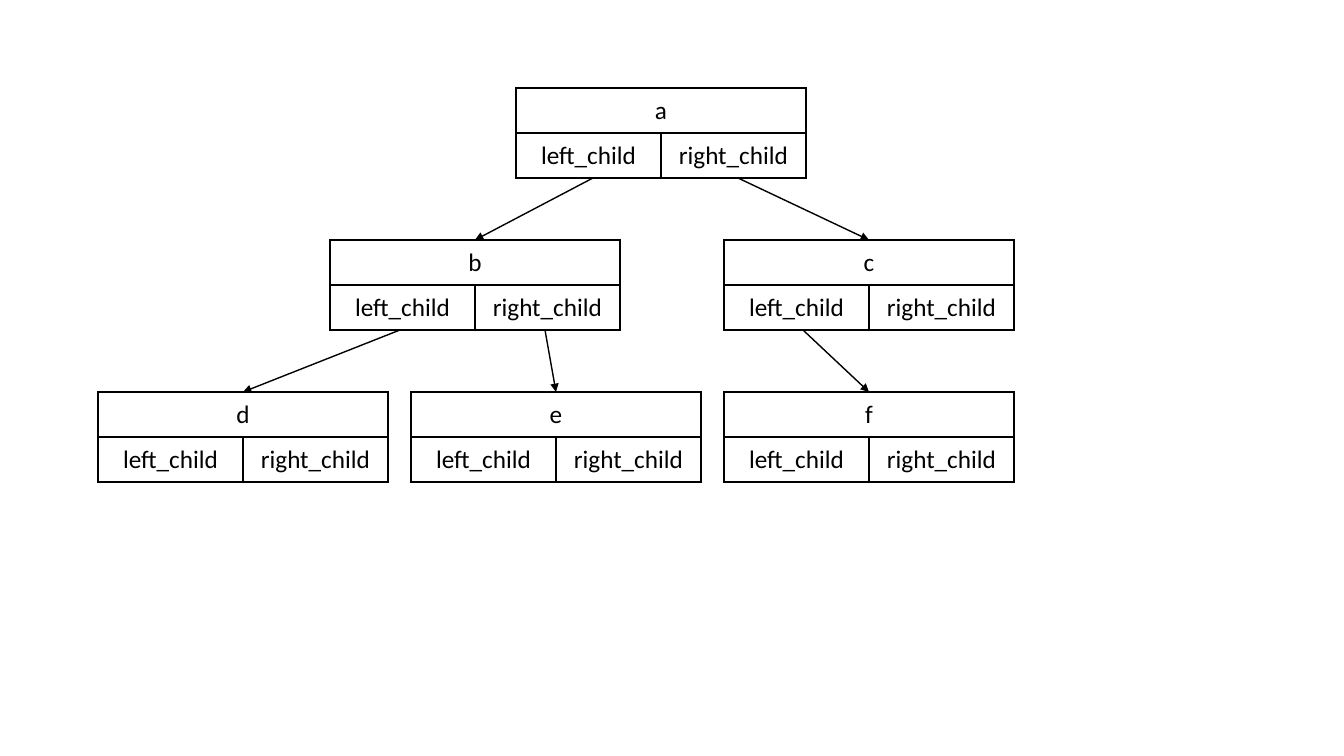
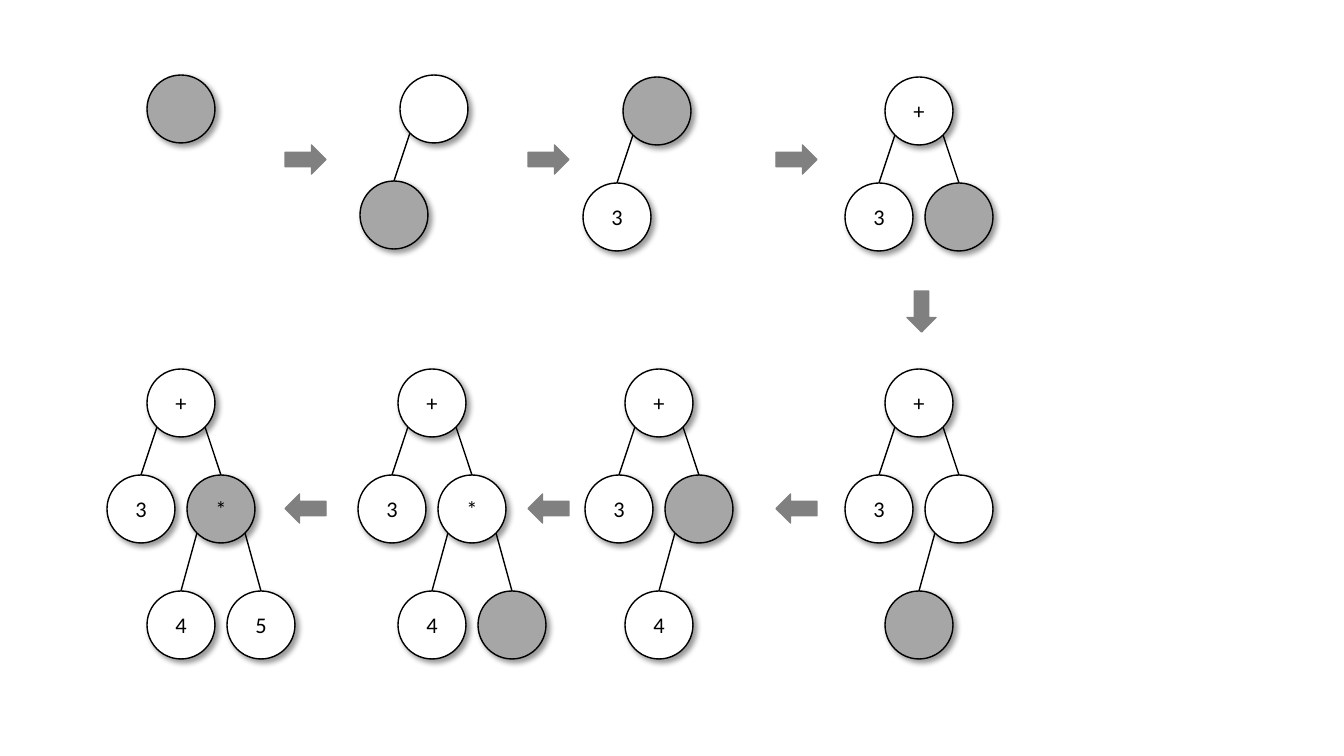
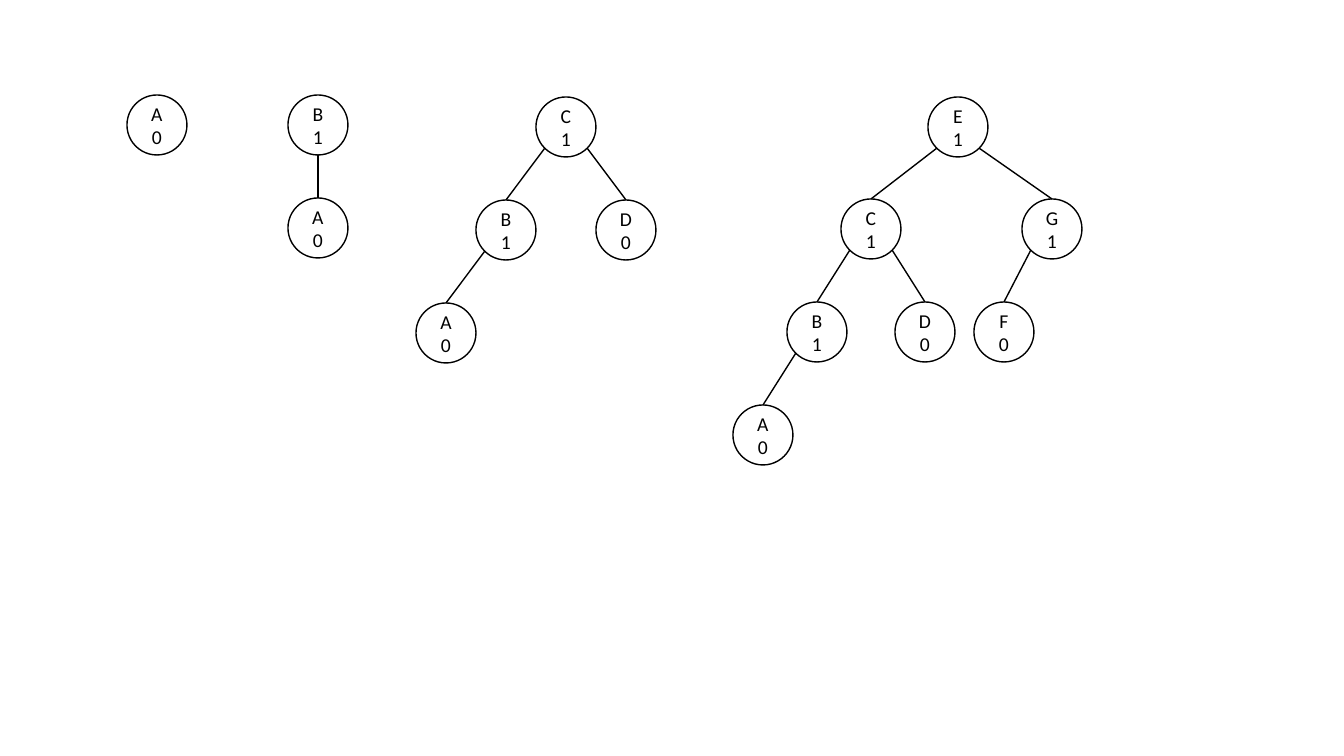
from dataclasses import dataclass
from math import sqrt

from lxml.etree import SubElement
from pptx import Presentation
from pptx.dml.color import RGBColor
from pptx.enum.shapes import MSO_CONNECTOR as Link, MSO_SHAPE as Preset
from pptx.enum.text import MSO_ANCHOR as Anchor, PP_ALIGN as Align
from pptx.oxml.ns import qn
from pptx.util import Pt

WIDTH, HEIGHT = 1344, 756
SCALE = 12192000 / WIDTH
COLORS = {"ink": "000000", "paper": "FFFFFF", "active": "A6A6A6", "arrow": "808080"}
FONT = "Calibri"
NO_MARGINS = {"margin_left": 0, "margin_right": 0, "margin_top": 0, "margin_bottom": 0}
TABLE_FORMAT = {"first_row": False, "horz_banding": False}

CELL_W, CELL_H = 145, 45
RECORD_PITCH = 152
RECORDS = {
    "a": (516, 0, 77),
    "b": (330, 0 + 1, 70),
    "c": (724, 1, 79),
    "d": (98, 2, 73),
    "e": (411, 2, 73),
    "f": (724, 2, 73),
}
CHILD_LINKS = [("a", 0, "b"), ("a", 1, "c"), ("b", 0, "d"), ("b", 1, "e"), ("c", 0, "f")]


@dataclass
class Node:
    label: str = ""
    dx: int = 0
    children: tuple = ()
    active: bool = False


@dataclass
class TreeStyle:
    diameter: int
    font_size: int
    shadow: bool = False


PARSE_STYLE = TreeStyle(68, 16, True)
HEAP_STYLE = TreeStyle(60, 14)
PARSE_PITCHES = (106, 116)
HEAP_PITCHES = (103, 103, 103)


def px(value):
    return round(value * SCALE)


def color(name):
    return RGBColor.from_string(COLORS[name])


def set_format(target, values):
    for name, value in values.items():
        setattr(target, name, value)


def style_text(frame, size):
    for paragraph in frame.paragraphs:
        paragraph.alignment = Align.CENTER
        set_format(paragraph.font, {"name": FONT, "size": Pt(size)})
        paragraph.font.color.rgb = color("ink")


def style_line(line, name="ink"):
    line.width = Pt(1)
    line.color.rgb = color(name)


def add_link(slide, start, end, arrowhead=False):
    link = slide.shapes.add_connector(Link.STRAIGHT, *map(px, (*start, *end)))
    style_line(link.line)
    SubElement(link._element.spPr, qn("a:effectLst"))
    if arrowhead:
        SubElement(link.line._get_or_add_ln(), qn("a:tailEnd"), type="triangle")
    return link


def add_preset(slide, preset, box, fill, line):
    shape = slide.shapes.add_shape(preset, *map(px, box))
    shape.shadow.inherit = False
    shape.fill.solid()
    shape.fill.fore_color.rgb = color(fill)
    style_line(shape.line, line)
    return shape


def border_cell(cell):
    properties = cell._tc.get_or_add_tcPr()
    for side in ("lnL", "lnR", "lnT", "lnB"):
        border = SubElement(properties, qn(f"a:{side}"), w=str(Pt(1)))
        fill = SubElement(border, qn("a:solidFill"))
        SubElement(fill, qn("a:srgbClr"), val=COLORS["ink"])


def add_record(slide, left, top, name):
    box = (left, top, 2 * CELL_W, 2 * CELL_H)
    record = slide.shapes.add_table(2, 2, *map(px, box)).table
    set_format(record, TABLE_FORMAT)
    for column in record.columns:
        column.width = px(CELL_W)
    for row in record.rows:
        row.height = px(CELL_H)
    record.cell(0, 0).merge(record.cell(0, 1))
    for cell, text in zip(record.iter_cells(), (name, "", "left_child", "right_child")):
        border_cell(cell)
        cell.fill.background()
        cell.vertical_anchor = Anchor.MIDDLE
        if text:
            cell.text = text
            style_text(cell.text_frame, 18)


def add_record_tree(slide, top):
    for name, (left, level, _) in RECORDS.items():
        add_record(slide, left, top + level * RECORD_PITCH, name)
    for parent, side, child in CHILD_LINKS:
        left, level, port = RECORDS[parent]
        child_left, child_level, _ = RECORDS[child]
        start = (left + port + side * CELL_W, top + level * RECORD_PITCH + 2 * CELL_H)
        end = (child_left + CELL_W, top + child_level * RECORD_PITCH)
        add_link(slide, start, end, arrowhead=True)


def add_shadow(shape):
    effects = shape._element.spPr.find(qn("a:effectLst"))
    shadow = SubElement(effects, qn("a:outerShdw"), blurRad=str(Pt(4)), dist=str(Pt(3)),
                        dir="2700000", algn="tl", rotWithShape="0")
    shade = SubElement(shadow, qn("a:srgbClr"), val=COLORS["ink"])
    SubElement(shade, qn("a:alpha"), val="40000")


def add_node(slide, left, top, node, style):
    box = (left, top, style.diameter, style.diameter)
    circle = add_preset(slide, Preset.OVAL, box, "active" if node.active else "paper", "ink")
    if style.shadow:
        add_shadow(circle)
    if node.label:
        frame = circle.text_frame
        set_format(frame, NO_MARGINS | {"vertical_anchor": Anchor.MIDDLE})
        frame.text = node.label
        style_text(frame, style.font_size)
    return circle


def add_tree(slide, left, top, node, style, pitches):
    circle = add_node(slide, left, top, node, style)
    radius = style.diameter / 2
    for child in node.children:
        child_left, child_top = left + child.dx, top + pitches[0]
        child_circle = add_tree(slide, child_left, child_top, child, style, pitches[1:])
        side = (child.dx > 0) - (child.dx < 0)
        reach = radius / sqrt(2) if side else radius
        start = (left + radius + side * reach, top + radius + reach)
        link = add_link(slide, start, (child_left + radius, child_top))
        link.end_connect(child_circle, 0)
    return circle


def left_node(label="", *children, active=False):
    return Node(label, -40, children, active)


def right_node(label="", *children, active=False):
    return Node(label, 40, children, active)


def add_parse_steps(slide, top):
    three, four = left_node("3"), left_node("4")
    blank_left, blank_right = left_node(active=True), right_node(active=True)
    steps = [
        (147, 0, Node(active=True)),
        (400, 0, Node(children=(blank_left,))),
        (623, 2, Node(children=(three,), active=True)),
        (885, 2, Node("+", children=(three, blank_right))),
        (885, 294, Node("+", children=(three, right_node("", blank_left)))),
        (625, 294, Node("+", children=(three, right_node("", four, active=True)))),
        (398, 294, Node("+", children=(three, right_node("*", four, blank_right)))),
        (147, 294, Node("+", children=(three, right_node("*", four, right_node("5"), active=True)))),
    ]
    for left, drop, root in steps:
        add_tree(slide, left, top + drop, root, PARSE_STYLE, PARSE_PITCHES)
    flow = [(left, drop, turn) for drop, turn in ((70, 0), (419, 180)) for left in (285, 528, 776)]
    for left, drop, turn in flow + [(901, 222, 90)]:
        arrow = add_preset(slide, Preset.RIGHT_ARROW, (left, top + drop, 41, 29), "arrow", "arrow")
        arrow.rotation = turn


def heap_node(name, rank, dx=0, *children):
    return Node(f"{name}\n{rank}", dx, children)


def branch(dx, step):
    return heap_node("C", 1, dx,
                     heap_node("B", 1, -step, heap_node("A", 0, -step)),
                     heap_node("D", 0, step))


def add_ranked_trees(slide, top):
    right_branch = heap_node("G", 1, 94, heap_node("F", 0, -48))
    trees = [
        (127, 0, heap_node("A", 0), HEAP_PITCHES),
        (288, 0, heap_node("B", 1, 0, heap_node("A", 0)), HEAP_PITCHES),
        (536, 2, branch(0, 60), HEAP_PITCHES),
        (928, 2, heap_node("E", 1, 0, branch(-87, 54), right_branch), (102, 103, 103)),
    ]
    for left, drop, root, pitches in trees:
        add_tree(slide, left, top + drop, root, HEAP_STYLE, pitches)


def main():
    deck = Presentation()
    set_format(deck, {"slide_width": px(WIDTH), "slide_height": px(HEIGHT)})
    for build, top in ((add_record_tree, 88), (add_parse_steps, 75), (add_ranked_trees, 95)):
        build(deck.slides.add_slide(deck.slide_layouts[6]), top)
    deck.save("out.pptx")


if __name__ == "__main__":
    main()
